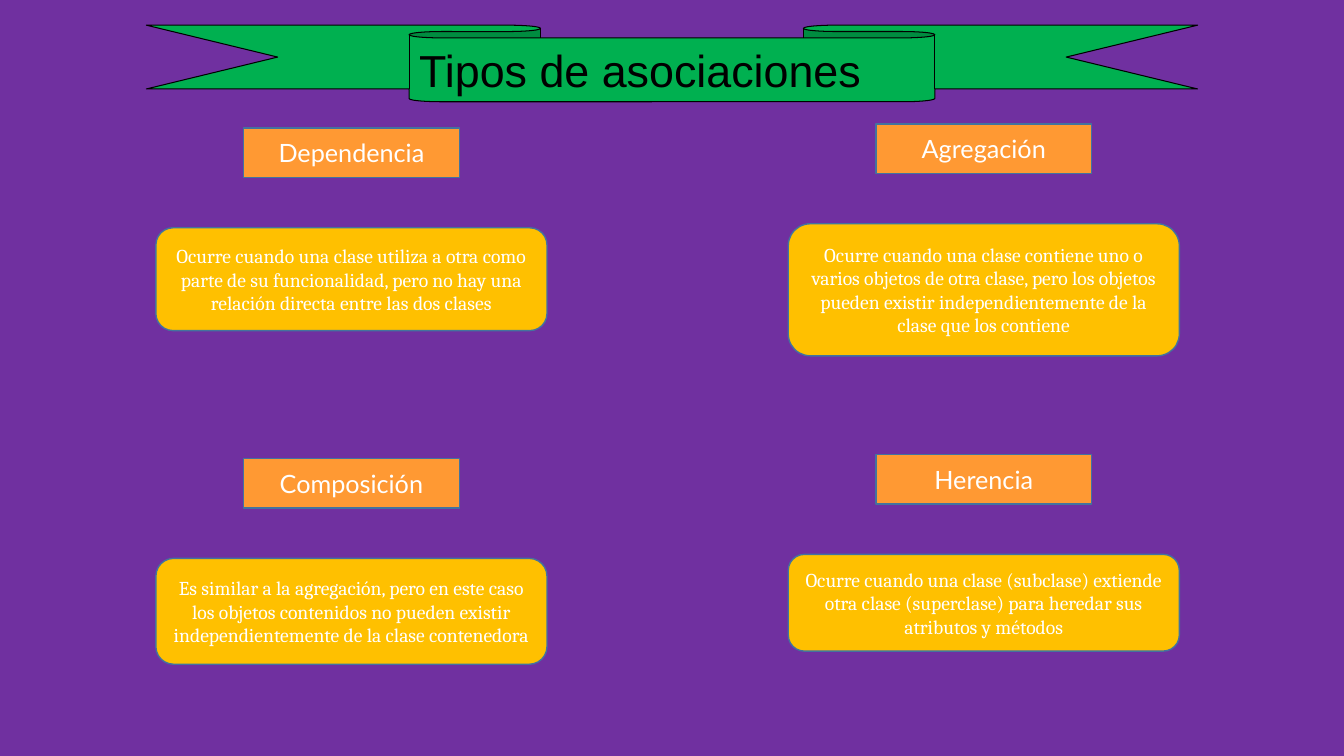
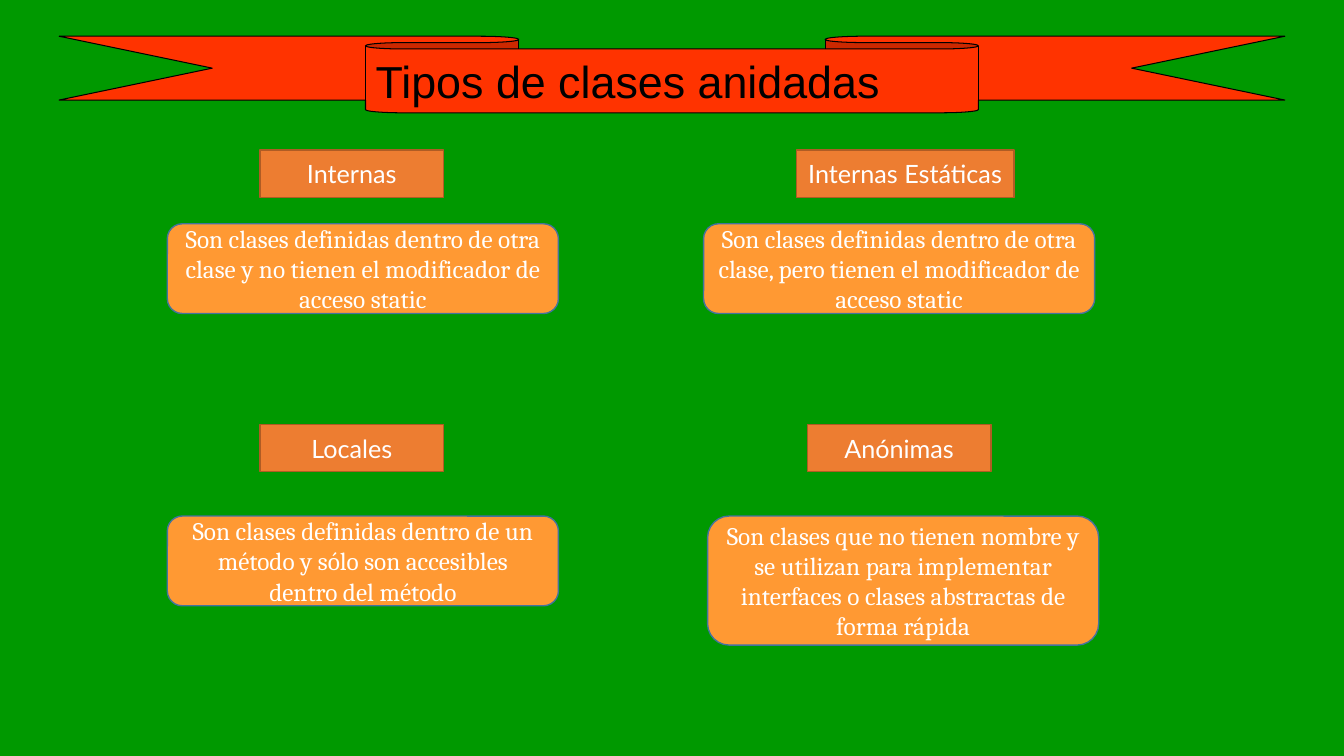
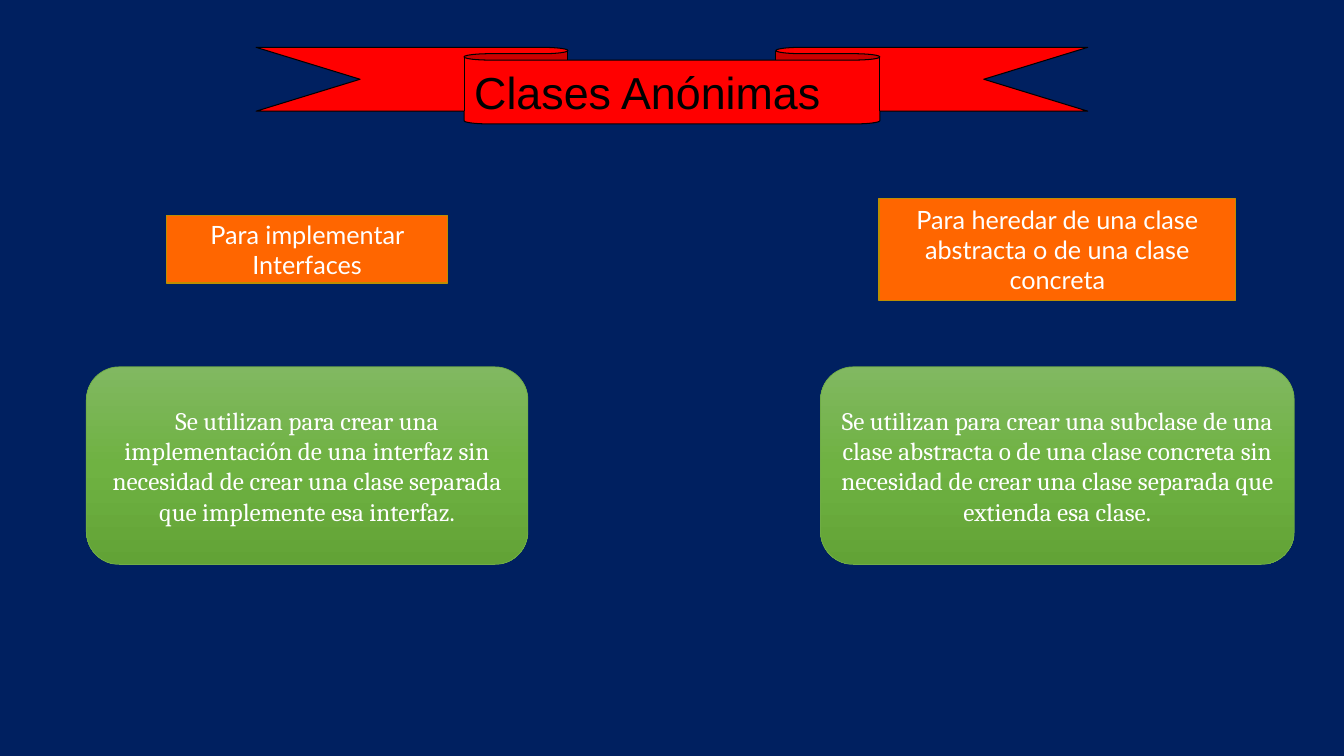
from copy import deepcopy
from dataclasses import dataclass

from pptx import Presentation
from pptx.dml.color import RGBColor
from pptx.enum.shapes import MSO_SHAPE
from pptx.enum.text import MSO_ANCHOR, PP_ALIGN
from pptx.oxml.ns import qn
from pptx.util import Inches, Pt


@dataclass(frozen=True)
class Theme:
    title_font: str = "Arial"
    label_font: str = "Lato"
    body_font: str = "Cambria"
    title_size: int = 32
    label_size: int = 18
    small_size: int = 14
    ink: str = "000000"
    white: str = "FFFFFF"
    purple: str = "7030A0"
    emerald: str = "00B050"
    green: str = "009900"
    vermilion: str = "FF3300"
    navy: str = "002060"
    red: str = "FF0000"
    apricot: str = "FF9933"
    gold: str = "FFC000"
    orange: str = "ED7D31"
    rust: str = "AF5C24"
    bright_orange: str = "FF6600"
    ochre: str = "BD8E00"
    steel: str = "43739E"
    leaf: str = "70AD47"
    leaf_shades: tuple = ((0, "81B861"), (0.5, "6FB242"), (1, "62A336"))


theme = Theme()
deck = Presentation()
deck.slide_width, deck.slide_height = Inches(13.333), Inches(7.5)
COLUMNS = 40
cell = deck.slide_width / COLUMNS
RIBBON_HEIGHT = 2.28


def write(box, text, *, font, size, color, align=PP_ALIGN.CENTER, anchor=MSO_ANCHOR.MIDDLE, wrap=True):
    frame = box.text_frame
    frame.word_wrap = wrap
    frame.vertical_anchor = anchor
    para = frame.paragraphs[0]
    para.alignment = align
    span = para.add_run()
    span.text = text
    span.font.name = font
    span.font.size = Pt(size)
    span.font.color.rgb = RGBColor.from_string(color)


def add_box(page, kind, place, fill, line, weight=1):
    center, top, width, height = place
    left = center - width / 2
    box = page.shapes.add_shape(kind, *(round(cell * n) for n in (left, top, width, height)))
    box.shadow.inherit = False
    if isinstance(fill, str):
        box.fill.solid()
        box.fill.fore_color.rgb = RGBColor.from_string(fill)
    else:
        box.fill.gradient()
        box.fill.gradient_angle = 270
        stops = box._element.spPr.find(".//" + qn("a:gsLst"))
        stops.insert(1, deepcopy(stops[0]))
        for stop, (position, shade) in zip(box.fill.gradient_stops, fill):
            stop.position = position
            stop.color.rgb = RGBColor.from_string(shade)
    box.line.color.rgb = RGBColor.from_string(line)
    box.line.width = Pt(weight)
    return box


pages = [
    dict(
        title="Tipos de asociaciones", background=theme.purple,
        ribbon=theme.emerald, ribbon_top=0.75, ribbon_width=31.29,
        label_style=(theme.apricot, theme.steel),
        body_style=(theme.gold, theme.steel), body_size=theme.small_size,
        cards=[
            ("Dependencia", (10.46, 3.81, 6.42, 1.47),
             "Ocurre cuando una clase utiliza a otra como parte de su funcionalidad, "
             "pero no hay una relación directa entre las dos clases",
             (10.46, 6.78, 11.64, 3.06)),
            ("Agregación", (29.28, 3.69, 6.42, 1.47),
             "Ocurre cuando una clase contiene uno o varios objetos de otra clase, pero los "
             "objetos pueden existir independientemente de la clase que los contiene",
             (29.28, 6.66, 11.64, 3.93)),
            ("Composición", (10.46, 13.65, 6.42, 1.47),
             "Es similar a la agregación, pero en este caso los objetos contenidos no "
             "pueden existir independientemente de la clase contenedora",
             (10.46, 16.62, 11.64, 3.15)),
            ("Herencia", (29.28, 13.53, 6.42, 1.47),
             "Ocurre cuando una clase (subclase) extiende otra clase (superclase) para "
             "heredar sus atributos y métodos",
             (29.28, 16.5, 11.64, 2.88)),
        ],
    ),
    dict(
        title="Tipos de clases anidadas", background=theme.green,
        ribbon=theme.vermilion, ribbon_top=1.08, ribbon_width=36.48,
        label_style=(theme.orange, theme.rust),
        body_style=(theme.apricot, theme.steel), body_size=theme.label_size,
        cards=[
            ("Internas", (10.47, 4.47, 5.46, 1.41),
             "Son clases definidas dentro de otra clase y no tienen el modificador de acceso static",
             (10.8, 6.66, 11.64, 2.67)),
            ("Internas Estáticas", (26.94, 4.47, 6.48, 1.41),
             "Son clases definidas dentro de otra clase, pero tienen el modificador de acceso static",
             (26.76, 6.66, 11.64, 2.67)),
            ("Locales", (10.47, 12.63, 5.46, 1.41),
             "Son clases definidas dentro de un método y sólo son accesibles dentro del método",
             (10.8, 15.36, 11.64, 2.67)),
            ("Anónimas", (26.76, 12.63, 5.46, 1.41),
             "Son clases que no tienen nombre y se utilizan para implementar interfaces o "
             "clases abstractas de forma rápida",
             (26.88, 15.36, 11.64, 3.84)),
        ],
    ),
    dict(
        title="Clases Anónimas", background=theme.navy,
        ribbon=theme.red, ribbon_top=1.41, ribbon_width=24.75,
        label_style=(theme.bright_orange, theme.ochre),
        body_style=(theme.leaf_shades, theme.leaf, 0.5), body_size=theme.label_size,
        cards=[
            ("Para implementar Interfaces", (9.14, 6.42, 8.37, 2.01),
             "Se utilizan para crear una implementación de una interfaz sin necesidad de "
             "crear una clase separada que implemente esa interfaz.",
             (9.14, 10.92, 13.14, 5.88)),
            ("Para heredar de una clase abstracta o de una clase concreta", (31.47, 5.91, 10.62, 3.03),
             "Se utilizan para crear una subclase de una clase abstracta o de una clase concreta "
             "sin necesidad de crear una clase separada que extienda esa clase.",
             (31.47, 10.92, 14.1, 5.88)),
        ],
    ),
]

for content in pages:
    page = deck.slides.add_slide(deck.slide_layouts[5])
    page.background.fill.solid()
    page.background.fill.fore_color.rgb = RGBColor.from_string(content["background"])

    place = (COLUMNS / 2, content["ribbon_top"], content["ribbon_width"], RIBBON_HEIGHT)
    ribbon = add_box(page, MSO_SHAPE.DOWN_RIBBON, place, content["ribbon"], theme.ink, 0.75)

    title = page.shapes.title
    title.left = ribbon.left + ribbon.width // 4
    title.top = ribbon.top + ribbon.height // 6
    title.width = ribbon.width // 2
    title.height = ribbon.height * 5 // 6
    ribbon._element.addnext(title._element)
    write(title, content["title"], font=theme.title_font, size=theme.title_size, color=theme.ink,
          align=PP_ALIGN.LEFT, anchor=MSO_ANCHOR.TOP, wrap=False)

    for label_text, label_place, body_text, body_place in content["cards"]:
        label = add_box(page, MSO_SHAPE.RECTANGLE, label_place, *content["label_style"])
        write(label, label_text, font=theme.label_font, size=theme.label_size, color=theme.white)
        body = add_box(page, MSO_SHAPE.ROUNDED_RECTANGLE, body_place, *content["body_style"])
        write(body, body_text, font=theme.body_font, size=content["body_size"], color=theme.white)

deck.save("out.pptx")
